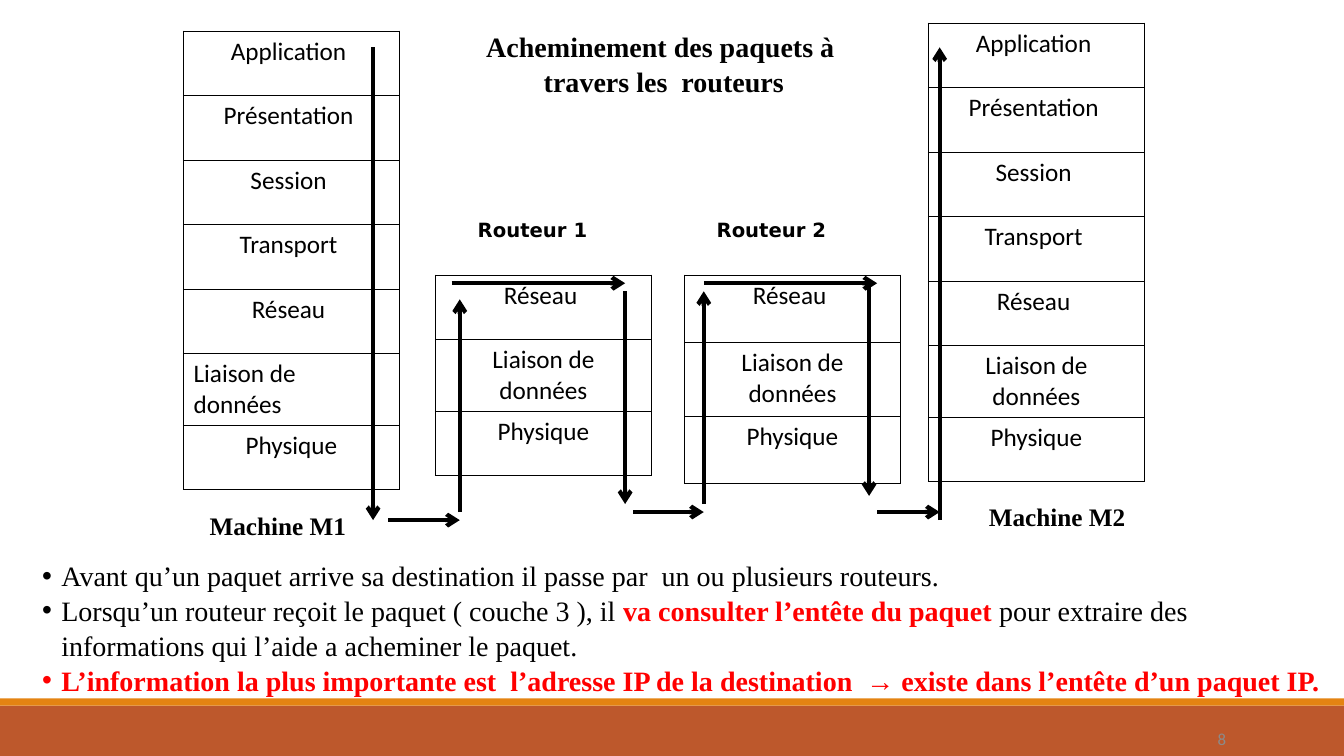
from dataclasses import dataclass

from lxml import etree
from pptx import Presentation
from pptx.dml.color import RGBColor
from pptx.enum.shapes import MSO_CONNECTOR, MSO_SHAPE
from pptx.enum.text import PP_ALIGN
from pptx.oxml import parse_xml
from pptx.oxml.ns import nsdecls, qn
from pptx.util import Inches, Pt

BLACK = RGBColor(0x00, 0x00, 0x00)
RED = RGBColor(0xFF, 0x00, 0x00)
GREY = RGBColor(0x8B, 0x8B, 0x8B)
RUST = RGBColor(0xBD, 0x58, 0x2C)
ORANGE = RGBColor(0xE4, 0x83, 0x12)
LEFT, CENTER, RIGHT = PP_ALIGN.LEFT, PP_ALIGN.CENTER, PP_ALIGN.RIGHT
RECTANGLE, STRAIGHT = MSO_SHAPE.RECTANGLE, MSO_CONNECTOR.STRAIGHT
SERIF = "Times New Roman"
STACK_WIDTH = 2.14
LINE_SPACING = 1.04


@dataclass
class Band:
    top: float
    height: float
    color: RGBColor


@dataclass
class Stack:
    left: float
    top: float
    layers: list
    row: float = 0.64
    link_row: float = 0.7
    link_align: PP_ALIGN = CENTER


@dataclass
class Arrow:
    start: tuple
    end: tuple


@dataclass
class Label:
    text: str
    left: float
    top: float
    width: float
    height: float
    size: float
    font: str = SERIF
    bold: bool = True
    color: RGBColor = BLACK
    align: PP_ALIGN = LEFT
    spacing: float = 1.0


LINK = "Liaison de données"
ROUTER_LAYERS = ["Réseau ", LINK, "Physique"]
HOST_LAYERS = ["Application ", "Présentation ", "Session ", "Transport ", *ROUTER_LAYERS]

BANDS = [Band(7, 0.5, RUST), Band(6.93, 0.07, ORANGE)]
STACKS = [
    Stack(1.82, 0.31, HOST_LAYERS, link_align=LEFT),
    Stack(9.21, 0.23, HOST_LAYERS),
    Stack(6.79, 2.73, ROUTER_LAYERS, row=0.67, link_row=0.73),
    Stack(4.32, 2.73, ROUTER_LAYERS),
]
# Path of the packet, from machine M1 to machine M2
ARROWS = [
    Arrow((3.7, 0.47), (3.7, 5.16)),
    Arrow((3.85, 5.16), (4.56, 5.16)),
    Arrow((4.56, 5.08), (4.56, 2.97)),
    Arrow((4.48, 2.81), (6.2, 2.81)),
    Arrow((6.2, 2.89), (6.2, 5)),
    Arrow((6.28, 5.08), (6.98, 5.08)),
    Arrow((6.98, 5), (6.98, 2.89)),
    Arrow((6.98, 2.81), (8.7, 2.81)),
    Arrow((8.62, 2.81), (8.62, 4.92)),
    Arrow((8.7, 5.08), (9.32, 5.08)),
    Arrow((9.32, 5.16), (9.32, 0.47)),
]
LABELS = [
    Label("Acheminement des paquets à\n travers les  routeurs", 4.71, 0.23, 3.68, 0.77,
          20, align=CENTER, spacing=LINE_SPACING),
    Label("Routeur 1", 4.64, 2.11, 1.3, 0.34, 14, "DejaVu Sans"),
    Label("Routeur 2", 7.01, 2.11, 1.3, 0.34, 14, "DejaVu Sans"),
    Label("Machine M1", 1.98, 5.01, 1.57, 0.4, 18),
    Label("Machine M2", 9.71, 4.92, 1.57, 0.4, 18),
    Label("8", 11.7, 7.18, 0.56, 0.36, 12, "Calibri", False, GREY, RIGHT),
]
# Each bullet is a list of (text, highlighted) pairs
BULLETS = [
    [("Avant qu’un paquet arrive sa destination il passe par  un ou plusieurs routeurs.", False)],
    [("Lorsqu’un routeur reçoit le paquet ( couche 3 ), il ", False),
     ("va consulter l’entête du paquet ", True),
     ("pour extraire des informations qui l’aide a acheminer le paquet.", False)],
    [("L’information la plus importante est  l’adresse IP de la destination  "
      "→ existe dans l’entête d’un paquet IP.", True)],
]


def add_span(para, text: str, color: RGBColor, **formats) -> None:
    span = para.add_run()
    span.text = text
    span.font.color.rgb = color
    for name, value in formats.items():
        setattr(span.font, name, value)


def draw_band(page, band: Band) -> None:
    shape = page.shapes.add_shape(
        RECTANGLE, 0, Inches(band.top), Inches(13.33), Inches(band.height))
    shape.shadow.inherit = False
    shape.fill.solid()
    shape.fill.fore_color.rgb = band.color
    shape.line.fill.background()


def frame_cell(cell) -> None:
    properties = cell._tc.get_or_add_tcPr()
    for side in ("lnL", "lnR", "lnT", "lnB"):
        properties.append(parse_xml(
            f'<a:{side} {nsdecls("a")} w="{Pt(1)}"><a:solidFill>'
            f'<a:srgbClr val="{BLACK}"/></a:solidFill></a:{side}>'))
    cell.fill.background()


def draw_stack(page, stack: Stack) -> None:
    heights = [stack.link_row if layer == LINK else stack.row for layer in stack.layers]
    table = page.shapes.add_table(
        len(heights), 1, Inches(stack.left), Inches(stack.top),
        Inches(STACK_WIDTH), Inches(sum(heights))).table
    table.first_row = table.horz_banding = False
    for index, (layer, height) in enumerate(zip(stack.layers, heights)):
        table.rows[index].height = Inches(height)
        cell = table.cell(index, 0)
        frame_cell(cell)
        para = cell.text_frame.paragraphs[0]
        para.alignment = stack.link_align if layer == LINK else CENTER
        add_span(para, layer, BLACK, name="Calibri", size=Pt(18), bold=False)


def draw_arrow(page, arrow: Arrow) -> None:
    ends = [Inches(value) for value in (*arrow.start, *arrow.end)]
    connector = page.shapes.add_connector(STRAIGHT, *ends)
    connector.line.color.rgb = BLACK
    connector.line.width = Pt(3)
    line = connector.line._get_or_add_ln()
    etree.SubElement(line, qn("a:tailEnd"), type="arrow")
    etree.SubElement(connector._element.spPr, qn("a:effectLst"))


def draw_label(page, label: Label) -> None:
    box = page.shapes.add_textbox(
        *map(Inches, (label.left, label.top, label.width, label.height)))
    frame = box.text_frame
    frame.word_wrap = False
    for index, text in enumerate(label.text.split("\n")):
        para = frame.add_paragraph() if index else frame.paragraphs[0]
        para.alignment = label.align
        para.line_spacing = label.spacing
        add_span(para, text, label.color, name=label.font,
                 size=Pt(label.size), bold=label.bold)


def draw_bullets(page) -> None:
    box = page.shapes.add_textbox(Inches(0.32), Inches(5.48), Inches(12.94), Inches(1.45))
    frame = box.text_frame
    frame.word_wrap = True
    for index, spans in enumerate(BULLETS):
        para = frame.add_paragraph() if index else frame.paragraphs[0]
        para.line_spacing = LINE_SPACING
        properties = para._p.get_or_add_pPr()
        properties.set("marL", str(Inches(0.19)))
        properties.set("indent", str(-Inches(0.19)))
        etree.SubElement(properties, qn("a:buFont"), typeface="Arial")
        etree.SubElement(properties, qn("a:buChar"), char="•")
        for text, highlighted in spans:
            add_span(para, text, RED if highlighted else BLACK,
                     name=SERIF, size=Pt(20), bold=highlighted)


def main() -> None:
    deck = Presentation()
    deck.slide_width, deck.slide_height = Inches(13.33), Inches(7.5)
    page = deck.slides.add_slide(deck.slide_layouts[6])
    for band in BANDS:
        draw_band(page, band)
    for stack in STACKS:
        draw_stack(page, stack)
    for arrow in ARROWS:
        draw_arrow(page, arrow)
    for label in LABELS:
        draw_label(page, label)
    draw_bullets(page)
    deck.save("out.pptx")


if __name__ == "__main__":
    main()
